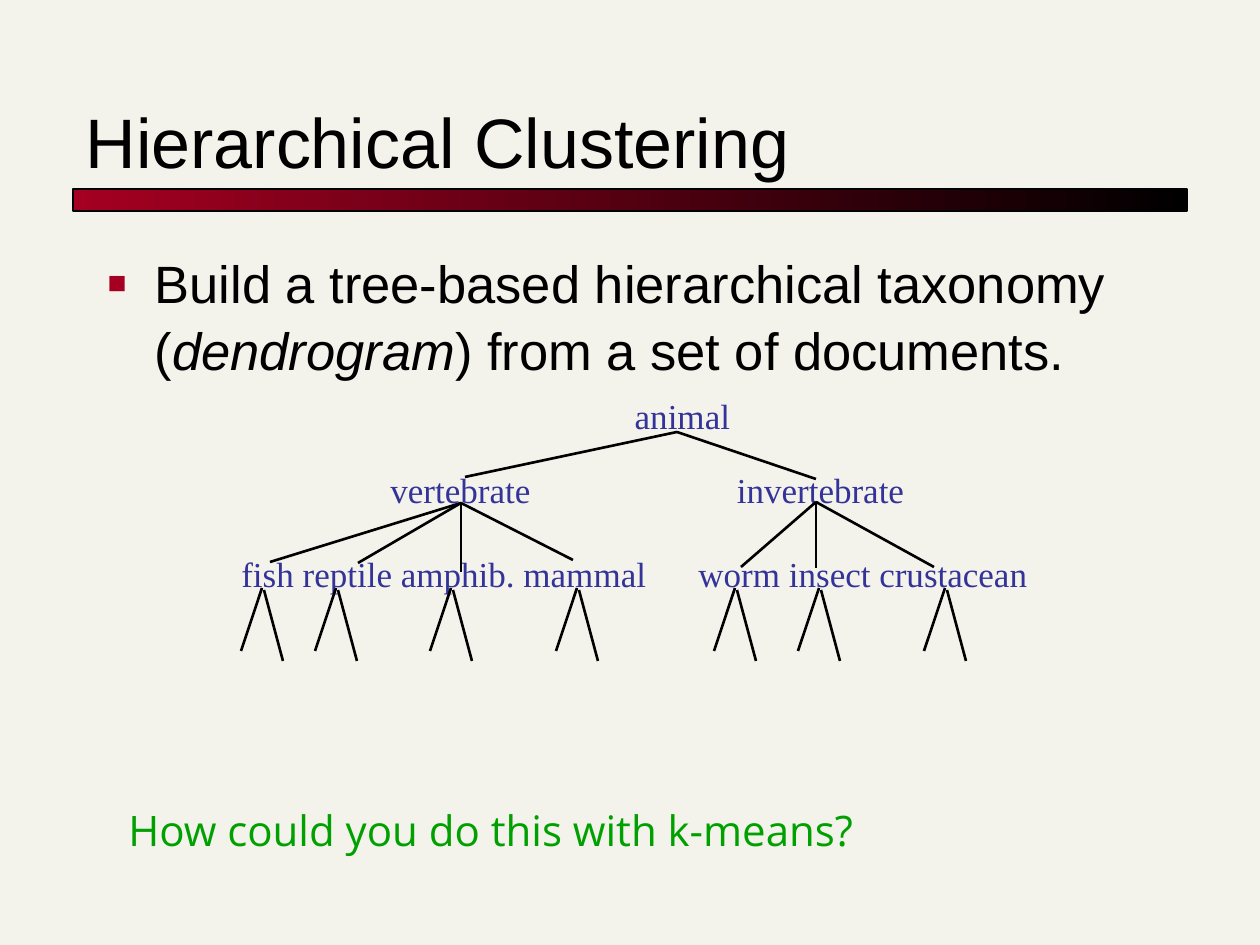
from lxml.etree import SubElement
from pptx import Presentation
from pptx.dml.color import RGBColor
from pptx.enum.shapes import MSO_CONNECTOR as Connector, MSO_SHAPE as Shape
from pptx.enum.text import MSO_ANCHOR as Anchor, MSO_AUTO_SIZE as AutoSize, PP_ALIGN as Align
from pptx.oxml.ns import qn
from pptx.util import Emu, Pt

PX = 914400 / 126
BLACK, RED, INDIGO, GREEN, CREAM = "000000", "A50021", "333399", "00A000", "F4F3EB"


def px(*lengths):
    return [Emu(round(length * PX)) for length in lengths]


def colour(value):
    return RGBColor.from_string(value)


def add_span(para, text, size, font, shade, italic=False):
    span = para.add_run()
    span.text = text
    span.font.size = Pt(size)
    span.font.name = font
    span.font.italic = italic
    span.font.color.rgb = colour(shade)


def place(shape, box):
    shape.left, shape.top, shape.width, shape.height = px(*box)
    shape.text_frame.auto_size = AutoSize.NONE


def add_label(shapes, box, text, size, font, shade, align=Align.LEFT, wrap=True):
    label = shapes.add_textbox(*px(*box))
    label.text_frame.word_wrap = wrap
    para = label.text_frame.paragraphs[0]
    para.alignment = align
    add_span(para, text, size, font, shade)
    return para


def add_branch(shapes, start, end):
    line = shapes.add_connector(Connector.STRAIGHT, *px(*start, *end))
    line.line.color.rgb = colour(BLACK)
    line.line.width = Pt(1.5)
    SubElement(line._element.spPr, qn("a:effectLst"))


def add_bullet(para, char, shade, percent, indent):
    props = para._p.get_or_add_pPr()
    left, = px(indent)
    props.set("marL", str(left))
    props.set("indent", str(-left))
    bullet_colour = SubElement(props, qn("a:buClr"))
    SubElement(bullet_colour, qn("a:srgbClr"), val=shade)
    SubElement(props, qn("a:buSzPct"), val=str(percent * 1000))
    SubElement(props, qn("a:buFont"), typeface="Arial")
    SubElement(props, qn("a:buChar"), char=char)


def add_tab(para, position):
    tabs = SubElement(para._p.get_or_add_pPr(), qn("a:tabLst"))
    SubElement(tabs, qn("a:tab"), pos=str(px(position)[0]), algn="l")


def add_heading(page, box, text):
    left, top, width, height = box
    bar = page.shapes.add_shape(Shape.RECTANGLE, *px(left, top + height, width, 22))
    bar.shadow.inherit = False
    bar.fill.gradient()
    bar.fill.gradient_angle = 0
    for stop, shade in zip(bar.fill.gradient_stops, (RED, BLACK)):
        stop.color.rgb = colour(shade)
    bar.line.color.rgb = colour(BLACK)
    bar.line.width = Pt(0.75)

    title = page.shapes.title
    place(title, box)
    title.text_frame.vertical_anchor = Anchor.BOTTOM
    para = title.text_frame.paragraphs[0]
    para.alignment = Align.LEFT
    add_span(para, text, 40, "Arial", BLACK)


def add_body(page, box, spans):
    body = page.placeholders[1]
    place(body, box)
    para = body.text_frame.paragraphs[0]
    add_bullet(para, "■", RED, 60, 47)
    para.space_before = Pt(0)
    para.line_spacing = 1.05
    for text, italic in spans:
        add_span(para, text, 30, "Arial", BLACK, italic)


def add_tree(page, left, top):
    shapes = page.shapes.add_group_shape().shapes
    style = (20, "Times New Roman", INDIGO)
    nodes = [("animal", 359, 0, 189), ("vertebrate", 149, 74, 165), ("invertebrate", 495, 74, 193)]
    for text, x, y, width in nodes:
        add_label(shapes, (left + x, top + y, width, 55), text, *style, Align.CENTER, False)
    leaves = "fish reptile amphib. mammal\tworm insect crustacean"
    add_tab(add_label(shapes, (left, top + 158, 830, 55), leaves, *style), 457)

    fans = [
        ((448, 44), [(236, 89), (587, 91)]),
        ((232, 115), [(41, 174), (129, 175), (232, 184), (344, 172)]),
        ((587, 114), [(512, 179), (587, 180), (705, 179)]),
    ]
    branches = [(hub, end) for hub, ends in fans for end in ends]
    for x in (33, 107, 222, 348, 506, 590, 716):
        branches += [((x, 200), (x - 21, 263)), ((x + 2, 202), (x + 21, 273))]
    for start, end in branches:
        add_branch(shapes, *[(left + x, top + y) for x, y in (start, end)])


def main():
    deck = Presentation()
    deck.slide_width, deck.slide_height = px(1260, 945)
    page = deck.slides.add_slide(deck.slide_layouts[1])
    page.background.fill.solid()
    page.background.fill.fore_color.rgb = colour(CREAM)

    add_heading(page, (73, 53, 1114, 136), "Hierarchical Clustering")
    add_body(page, (95, 242, 1071, 672), [
        ("Build a tree-based hierarchical taxonomy (", False),
        ("dendrogram", True),
        (") from a set of documents.", False),
    ])
    add_tree(page, 229, 388)
    question = "How could you do this with k-means?"
    add_label(page.shapes, (116, 798, 882, 63), question, 24, "Open Sans", GREEN)
    deck.save("out.pptx")


if __name__ == "__main__":
    main()
